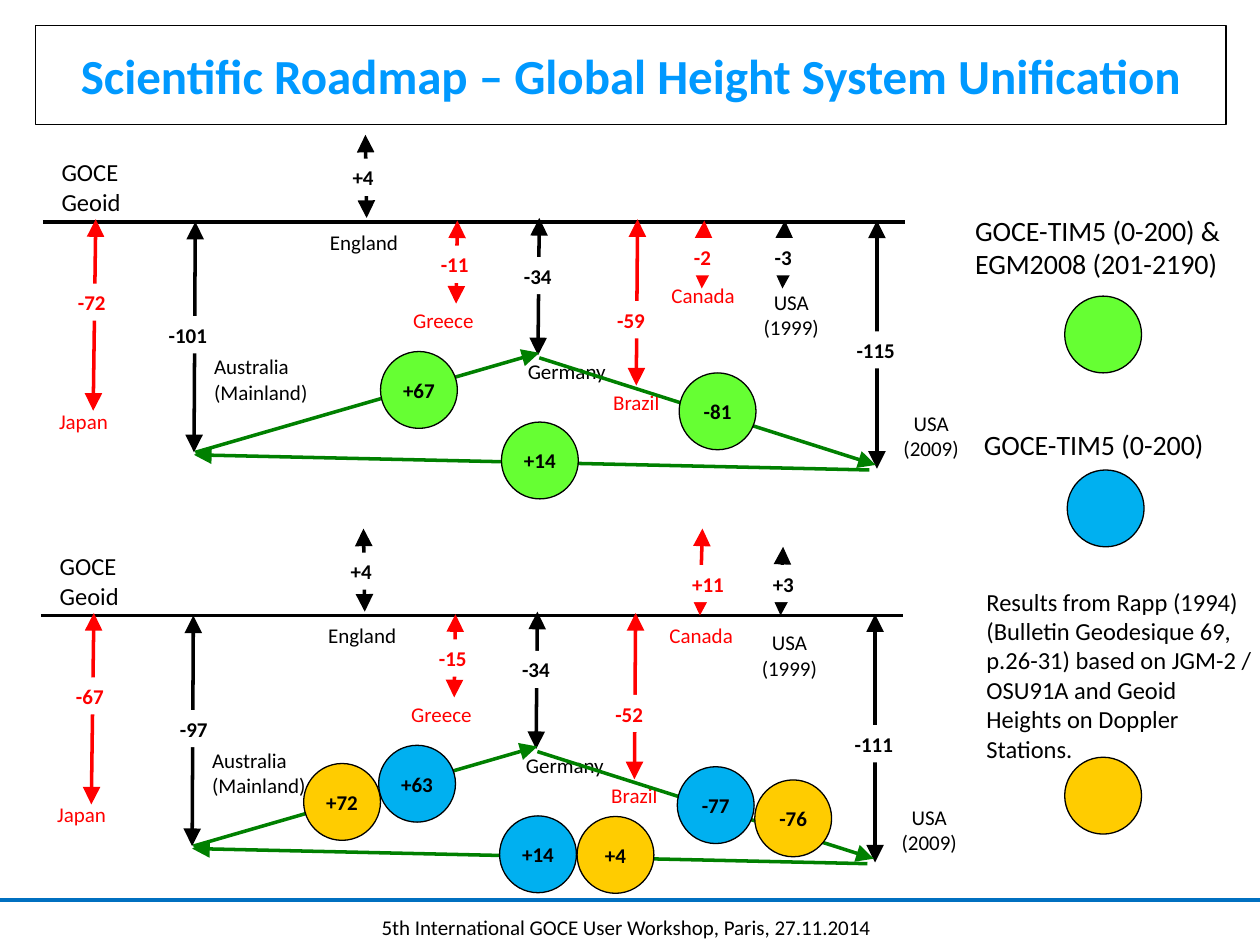
from dataclasses import dataclass, replace
from pptx import Presentation
from pptx.dml.color import RGBColor
from pptx.enum.shapes import MSO_CONNECTOR as Connector, MSO_SHAPE as Shape
from pptx.enum.text import MSO_ANCHOR as Anchor, MSO_AUTO_SIZE as AutoSize, PP_ALIGN as Align
from pptx.oxml.ns import qn
from pptx.util import Inches, Pt
from lxml.etree import SubElement

COLUMNS, ROWS = 100, 75
WIDTH, HEIGHT = Inches(10), Inches(7.5)
BLACK, RED, WHITE, DARK_GREEN = "000000", "FF0000", "FFFFFF", "008000"
LIME, BLUE, AMBER = "66FF33", "00B0F0", "FFCC00"
DISC = 6.1
BOTH = ("headEnd", "tailEnd")


@dataclass
class Station:
    name: str
    color: str
    arrow: tuple
    value_at: tuple
    label_at: tuple
    align: Align = Align.LEFT
    wrap: bool = False


AUSTRALIA = Station("Australia\n(Mainland)", BLACK, (15.5, 17.6, 15.4, 35.9), (12.4, 25.1), (16, 27.6, 9.8))
SHARED = [
    Station("England", BLACK, (29, 10.7, 29.1, 17.3), (27, 12.6), (25.2, 17.7, 8.1)),
    Station("Germany", BLACK, (42.8, 17.3, 42.7, 28.2), (40.6, 20.4), (40.9, 28, 8.9)),
    Station("USA\n(2009)", BLACK, (69.6, 17.5, 69.6, 37.2), (67, 26.3), (70.5, 32.1, 6.8), Align.CENTER),
    Station("Greece", RED, (36.3, 17.5, 36.2, 24.1), (34, 19.5), (31.8, 23.9, 7.5)),
    Station("Japan", RED, (7.6, 17.4, 7.4, 32.6), (5.2, 22.5), (3.7, 31.9, 6.5)),
    Station("Brazil", RED, (50.6, 17.4, 50.5, 30.6), (48, 23.9), (46.6, 30.4, 7.8), Align.CENTER, True),
]
UPPER = [AUSTRALIA] + SHARED + [
    Station("Canada", RED, (55.9, 17.5, 55.7, 22.9), (54.1, 18.9), (51.9, 21.9, 7.8), Align.CENTER),
    Station("USA\n(1999)", BLACK, (62.3, 17.5, 62.1, 22.9), (60.5, 18.9), (59.4, 22.5, 6.8), Align.CENTER),
]
LOWER = [replace(AUSTRALIA, value_at=(13.45, 25.1))] + SHARED + [
    Station("Canada", RED, (55.9, 10.7, 55.7, 17.6), (54.1, 13.6), (51.9, 17.65, 7.8), Align.CENTER),
    Station("USA\n(1999)", BLACK, (62.3, 12.15, 62.1, 17.6), (60.5, 13.6), (59.4, 18.25, 6.8), Align.CENTER),
]
LEGS = [
    ((15.5, 35.9, 42.8, 28), ("tailEnd",)),
    ((42.8, 28.4, 69.5, 36.9), ("tailEnd",)),
    ((15.4, 36.1, 69, 37.3), ("headEnd",)),
]
LEG_DISCS = [(30.2, 27.9), (53.9, 29.6), (39.8, 33.5)]


def col(count):
    return round(WIDTH * count / COLUMNS)


def row(count):
    return round(HEIGHT * count / ROWS)


def place(left, top, width, height):
    return col(left), row(top), col(width), row(height)


def rgb(color):
    return RGBColor.from_string(color)


def apply(target, values):
    for name, value in values.items():
        setattr(target, name, value)


def write(box, text, size=12, color=BLACK, bold=False, align=Align.LEFT,
          anchor=Anchor.TOP, wrap=False, fit=AutoSize.SHAPE_TO_FIT_TEXT):
    frame = box.text_frame
    apply(frame, {"word_wrap": wrap, "auto_size": fit, "vertical_anchor": anchor})
    for index, line in enumerate(text.split("\n")):
        para = frame.paragraphs[0] if index == 0 else frame.add_paragraph()
        para.alignment = align
        span = para.add_run()
        span.text = line
        apply(span.font, {"name": "Calibri", "size": Pt(size), "bold": bold})
        span.font.color.rgb = rgb(color)


def paint(shape, fill, outline=None):
    shape.fill.solid()
    shape.fill.fore_color.rgb = rgb(fill)
    if outline:
        shape.line.color.rgb = rgb(outline)
        shape.line.width = Pt(0.75)
    else:
        shape.line.fill.background()


def add_title(page, text):
    title = page.shapes.title
    apply(title, dict(zip(("left", "top", "width", "height"), place(2.8, 2, 94.5, 7.9))))
    paint(title, WHITE, BLACK)
    write(title, text, 28, "0099FF", True, Align.CENTER, Anchor.MIDDLE, True, AutoSize.NONE)


def add_text(page, area, text, **style):
    write(page.shapes.add_textbox(*place(*area)), text, **style)


def add_line(page, ends, color, width=2, arrows=()):
    x1, y1, x2, y2 = ends
    line = page.shapes.add_connector(Connector.STRAIGHT, col(x1), row(y1), col(x2), row(y2))
    line.line.color.rgb = rgb(color)
    line.line.width = Pt(width)
    outline = line.line._get_or_add_ln()
    for arrow in arrows:
        SubElement(outline, qn("a:" + arrow), {"type": "triangle", "w": "lg", "len": "lg"})
    SubElement(line._element.spPr, qn("a:effectLst"))


def add_shape(page, kind, area, fill, outline=None):
    shape = page.shapes.add_shape(kind, *place(*area))
    shape.shadow.inherit = False
    paint(shape, fill, outline)
    return shape


def add_disc(page, left, top, fill, text=""):
    disc = add_shape(page, Shape.OVAL, (left, top, DISC, DISC), fill, BLACK)
    if text:
        write(disc, text, bold=True, align=Align.CENTER, anchor=Anchor.MIDDLE, fit=AutoSize.NONE)


def add_station(page, station, value, dx, dy):
    x1, y1, x2, y2 = station.arrow
    add_line(page, (x1 + dx, y1 + dy, x2 + dx, y2 + dy), station.color, arrows=BOTH)
    left, top = station.value_at
    width = 2 + 0.85 * len(value) + 0.3 * value.count("+")
    tag = add_shape(page, Shape.RECTANGLE, (left + dx, top + dy, width, 2.95), WHITE)
    write(tag, value, color=station.color, bold=True)
    left, top, width = station.label_at
    height = 1.1 + 1.8 * len(station.name.split("\n"))
    add_text(page, (left + dx, top + dy, width, height), station.name,
             color=station.color, align=station.align, wrap=station.wrap)


def add_profile(page, stations, values, leg_values, fill, dx=0, dy=0):
    add_line(page, (3.4 + dx, 17.6 + dy, 71.8 + dx, 17.6 + dy), BLACK)
    add_text(page, (3.9 + dx, 12 + dy, 7.7, 5.3), "GOCE\nGeoid", size=14)
    for station, value in zip(stations, values):
        add_station(page, station, value, dx, dy)
    for (x1, y1, x2, y2), arrows in LEGS:
        add_line(page, (x1 + dx, y1 + dy, x2 + dx, y2 + dy), DARK_GREEN, arrows=arrows)
    for (left, top), value in zip(LEG_DISCS, leg_values):
        add_disc(page, left + dx, top + dy, fill, value)


def add_legend(page):
    entries = [
        ((76.4, 16.4, 22.3, 6.4), "GOCE-TIM5 (0-200) &\nEGM2008 (201-2190)", 16, (84.5, 23.5), LIME),
        ((77.1, 33.4, 19.7, 3.7), "GOCE-TIM5 (0-200)", 16, (84.7, 37.3), BLUE),
        ((77.3, 46, 23.2, 15.1), "Results from Rapp (1994) (Bulletin Geodesique 69, p.26-31) based on "
         "JGM-2 / OSU91A and Geoid Heights on Doppler Stations.", 14, (84.5, 60.1), AMBER),
    ]
    for area, text, size, spot, fill in entries:
        add_text(page, area, text, size=size, anchor=Anchor.MIDDLE, wrap=True)
        add_disc(page, *spot, fill)


def main():
    deck = Presentation()
    apply(deck, {"slide_width": WIDTH, "slide_height": HEIGHT})
    page = deck.slides.add_slide(deck.slide_layouts[5])
    add_line(page, (0, 71.4, COLUMNS, 71.4), "0070C0", 2.25)
    add_text(page, (29.3, 72.1, 41.3, 3), "5th International GOCE User Workshop, Paris, 27.11.2014")
    add_title(page, "Scientific Roadmap – Global Height System Unification")
    add_profile(page, UPPER,
                ["-101", "+4", "-34", "-115", "-11", "-72", "-59", "-2", "-3"],
                ["+67", "-81", "+14"], LIME)
    add_profile(page, LOWER,
                ["-97", "+4", "-34", "-111", "-15", "-67", "-52", "+11", "+3"],
                ["+63", "-77", "+14"], BLUE, -0.15, 31.25)
    for left, top, value in [(59.9, 61.9, "-76"), (45.8, 64.8, "+4"), (24.1, 60.6, "+72")]:
        add_disc(page, left, top, AMBER, value)
    add_legend(page)
    deck.save("out.pptx")


if __name__ == "__main__":
    main()
